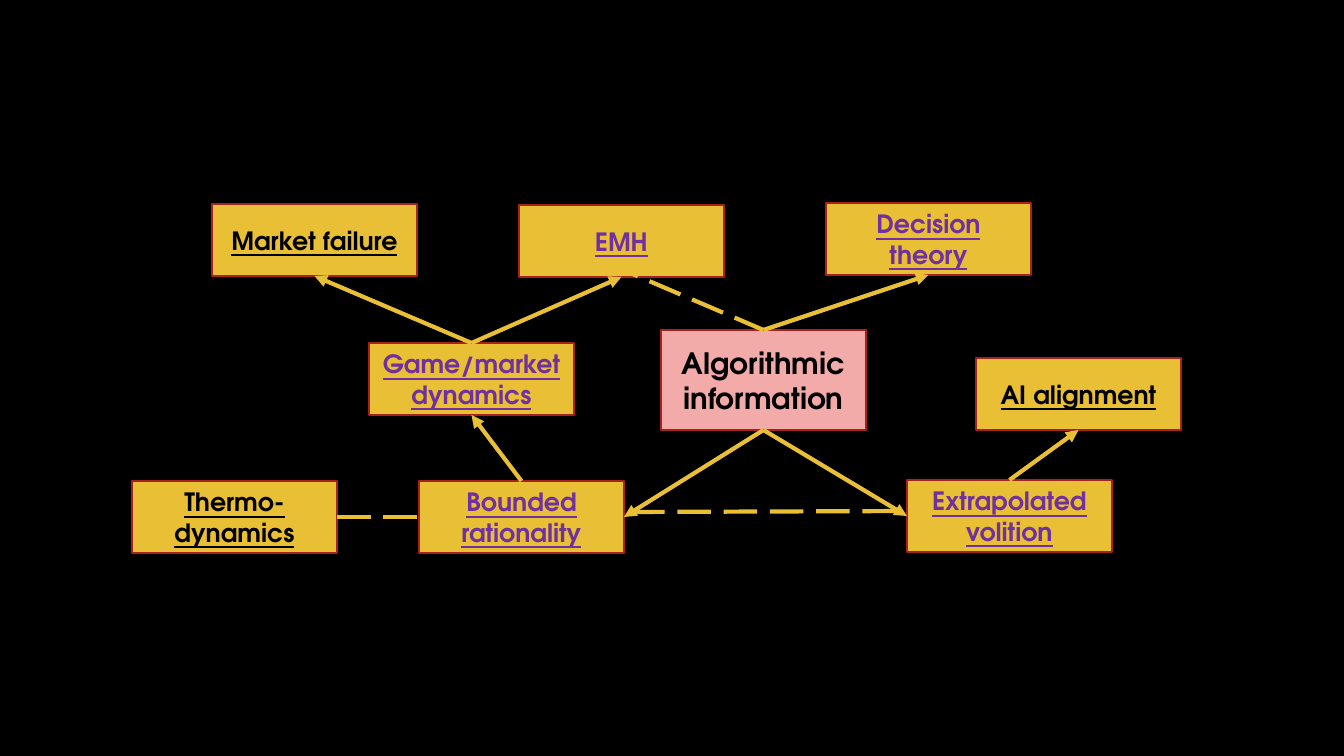
import pptx
import pptx.util
import pptx.dml.color
import pptx.enum.dml
import pptx.enum.shapes
import pptx.enum.text
import pptx.oxml
import pptx.oxml.ns

RGBColor = pptx.dml.color.RGBColor
BLACK = RGBColor(0x00, 0x00, 0x00)
GOLD = RGBColor(0xE9, 0xBF, 0x35)
PINK = RGBColor(0xF2, 0xAB, 0xA9)
RED = RGBColor(0xA5, 0x22, 0x1E)
PURPLE = RGBColor(0x70, 0x30, 0xA0)
FONT = "TeX Gyre Adventor"
EMU_PER_PX = 914400 / 100.8
BOX_W, BOX_H, CENTRE_H = 205, 72, 100
TOP, LEFT, BOTTOM, RIGHT = range(4)

TOPICS = [
    ("Bounded rationality", 419, 481, PURPLE),
    ("EMH", 519, 205, PURPLE),
    ("Market failure", 212, 204, BLACK),
    ("Extrapolated volition", 907, 480, PURPLE),
    ("Game/market dynamics", 369, 343, PURPLE),
    ("AI alignment", 976, 358, BLACK),
    ("Decision theory", 826, 203, PURPLE),
    ("Thermo-dynamics", 132, 481, BLACK),
]
CENTRE = "Algorithmic information"
ARROWS = [
    ("Bounded rationality", TOP, "Game/market dynamics", BOTTOM),
    ("Game/market dynamics", TOP, "EMH", BOTTOM),
    ("Game/market dynamics", TOP, "Market failure", BOTTOM),
    (CENTRE, BOTTOM, "Bounded rationality", RIGHT),
    (CENTRE, BOTTOM, "Extrapolated volition", LEFT),
    ("Extrapolated volition", TOP, "AI alignment", BOTTOM),
    (CENTRE, TOP, "Decision theory", BOTTOM),
]


def px(n):
    return pptx.util.Emu(round(n * EMU_PER_PX))


def add_topic(slide, text, x, y, w, h, fill, color, size, underline):
    sp = slide.shapes.add_shape(
        pptx.enum.shapes.MSO_SHAPE.RECTANGLE, px(x), px(y), px(w), px(h))
    sp.shadow.inherit = False
    sp.fill.solid()
    sp.fill.fore_color.rgb = fill
    sp.line.color.rgb = RED
    sp.line.width = pptx.util.Pt(1)
    tf = sp.text_frame
    tf.word_wrap = True
    tf.vertical_anchor = pptx.enum.text.MSO_ANCHOR.MIDDLE
    p = tf.paragraphs[0]
    p.text = text
    p.alignment = pptx.enum.text.PP_ALIGN.CENTER
    p.font.name = FONT
    p.font.size = pptx.util.Pt(size)
    p.font.bold = True
    p.font.underline = underline
    p.font.color.rgb = color
    return sp


def add_link(slide, x1=0, y1=0, x2=0, y2=0, begin=None, end=None, dashed=False):
    cxn = slide.shapes.add_connector(
        pptx.enum.shapes.MSO_CONNECTOR.STRAIGHT, px(x1), px(y1), px(x2), px(y2))
    if begin:
        cxn.begin_connect(*begin)
    if end:
        cxn.end_connect(*end)
    cxn.line.color.rgb = GOLD
    cxn.line.width = pptx.util.Pt(3)
    if dashed:
        cxn.line.dash_style = pptx.enum.dml.MSO_LINE.LONG_DASH
    else:
        ln = cxn.line._get_or_add_ln()
        tail = pptx.oxml.parse_xml(
            '<a:tailEnd %s type="triangle"/>' % pptx.oxml.ns.nsdecls("a"))
        ln.append(tail)
    effects = pptx.oxml.parse_xml("<a:effectLst %s/>" % pptx.oxml.ns.nsdecls("a"))
    cxn._element.spPr.append(effects)


def add_topic_map(slide, x, y):
    boxes = {
        text: add_topic(slide, text, x + dx, y + dy, BOX_W, BOX_H, GOLD, color, 18, True)
        for text, dx, dy, color in TOPICS
    }
    boxes[CENTRE] = add_topic(
        slide, CENTRE, x + 661, y + 330, BOX_W, CENTRE_H, PINK, BLACK, 21, False)
    for source, out, target, into in ARROWS:
        add_link(slide, begin=(boxes[source], out), end=(boxes[target], into))
    add_link(slide, x + 631, y + 512, x + 918, y + 511, dashed=True)
    add_link(slide, x + 607, y + 263, end=(boxes[CENTRE], TOP), dashed=True)
    add_link(slide, begin=(boxes["Thermo-dynamics"], RIGHT),
             end=(boxes["Bounded rationality"], LEFT), dashed=True)


def main():
    prs = pptx.Presentation()
    prs.slide_width, prs.slide_height = px(1344), px(756)
    slide = prs.slides.add_slide(prs.slide_layouts[6])
    slide.background.fill.solid()
    slide.background.fill.fore_color.rgb = BLACK
    add_topic_map(slide, 0, 0)
    prs.save("out.pptx")


if __name__ == "__main__":
    main()
